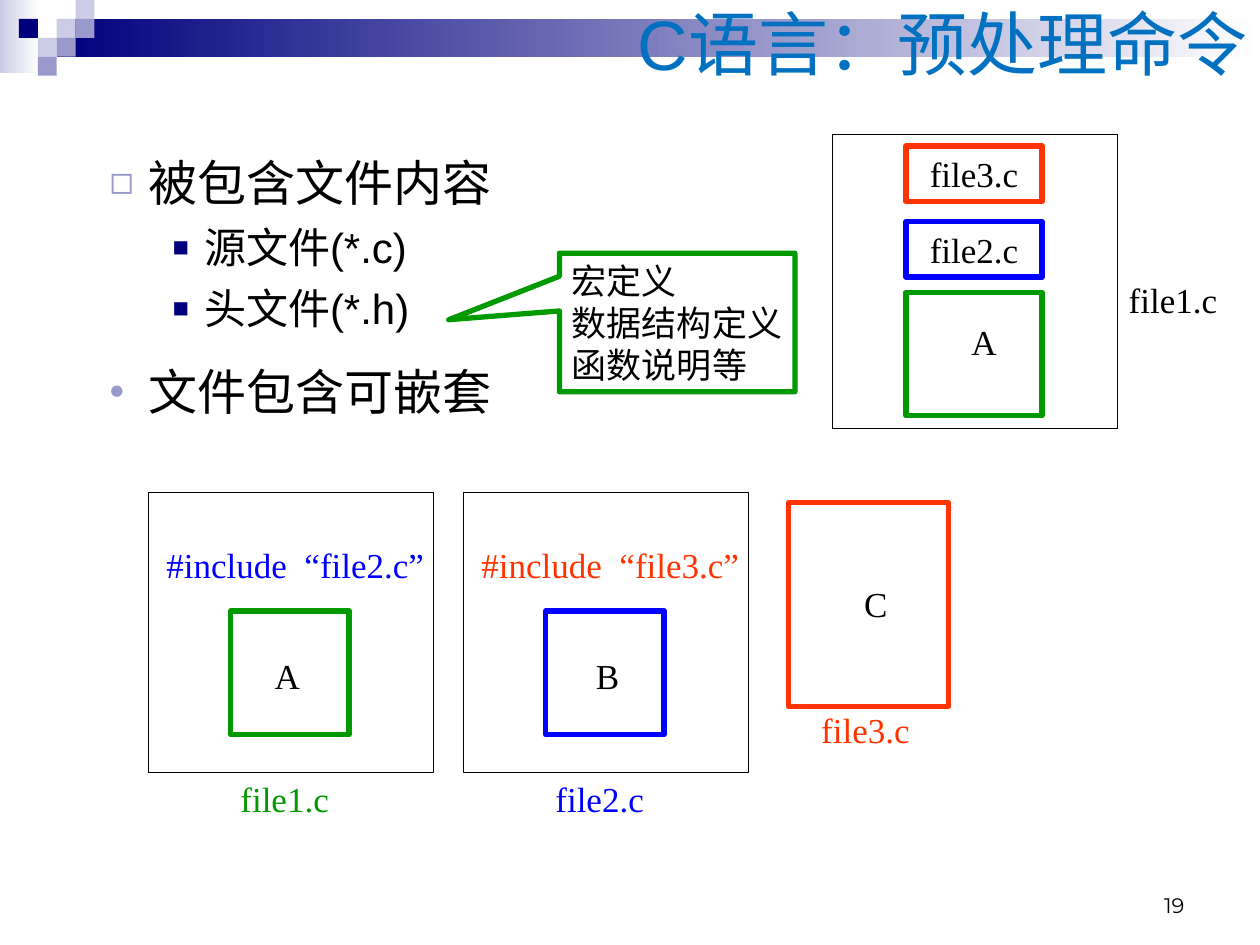
"""Build a slide on the C preprocessor and nested file inclusion."""
from lxml import etree
from pptx import Presentation
from pptx.dml.color import RGBColor
from pptx.enum.shapes import MSO_SHAPE
from pptx.enum.text import MSO_ANCHOR, PP_ALIGN
from pptx.oxml.ns import qn
from pptx.util import Pt

RECT = MSO_SHAPE.RECTANGLE
CALLOUT = MSO_SHAPE.RECTANGULAR_CALLOUT
TOP, MIDDLE, BOTTOM = MSO_ANCHOR.TOP, MSO_ANCHOR.MIDDLE, MSO_ANCHOR.BOTTOM
LEFT, CENTER, RIGHT = PP_ALIGN.LEFT, PP_ALIGN.CENTER, PP_ALIGN.RIGHT

BLACK = RGBColor(0, 0, 0)
WHITE = RGBColor(255, 255, 255)
NAVY = RGBColor(0, 0, 0x7D)
LILAC = RGBColor(0xCC, 0xCC, 0xE6)
MAUVE = RGBColor(0x99, 0x99, 0xCC)
SKY = RGBColor(0, 0x70, 0xC0)
GREEN = RGBColor(0, 0x99, 0)
BLUE = RGBColor(0, 0, 0xFF)
RED = RGBColor(0xFF, 0x33, 0)

SERIF = "Times New Roman"
SANS = "Arial"

TITLE = "C语言：预处理命令"
PAGE = "19"
NOTE = "宏定义\n数据结构定义\n函数说明等"

BANDS = [((0, 0, 22.5, 42), LILAC), ((32.5, 10.8, 687.5, 21.6), NAVY)]
TILE = 10.8
TILES = [
    (3, 1, LILAC), (4, 0, LILAC), (4, 1, MAUVE), (2, 2, LILAC),
    (1, 1, NAVY), (3, 2, MAUVE), (2, 3, MAUVE),
]

HEAD = {"indent": (58.5, -22.5), "mark": "◻", "tint": MAUVE, "scale": 80, "size": 28, "before": 7}
SUB = {"indent": (90, -18), "mark": "■", "tint": NAVY, "scale": 65, "size": 24, "before": 6}
DOT = {**HEAD, "mark": "•", "scale": 85}
LISTS = [
    ((19.5, 83.5, 682.5, 109.5), [("被包含文件内容", HEAD), ("源文件(*.c)", SUB), ("头文件(*.h)", SUB)]),
    ((19.5, 203, 682.5, 42), [("文件包含可嵌套", DOT)]),
]

FILES = [
    ("file1.c", "#include  “file2.c”", "A", GREEN, BLUE, 0),
    ("file2.c", "#include  “file3.c”", "B", BLUE, RED, 3),
]
PARTS = [("file3.c", RED, 83.5), ("file2.c", BLUE, 126.7)]


def add_box(slide, frame, fill=None, line=None, width=3.0, kind=RECT):
    box = slide.shapes.add_shape(kind, *map(Pt, frame))
    box.shadow.inherit = False
    if fill is None:
        box.fill.background()
    else:
        box.fill.solid()
        box.fill.fore_color.rgb = fill
    if line is None:
        box.line.fill.background()
    else:
        box.line.color.rgb = line
        box.line.width = Pt(width)
    return box


def set_text(box, text, size=20, face=SERIF, color=BLACK, align=CENTER, anchor=MIDDLE, wrap=False):
    frame = box.text_frame
    frame.text = text
    frame.word_wrap = wrap
    frame.vertical_anchor = anchor
    for para in frame.paragraphs:
        para.alignment = align
        for run in para.runs:
            run.font.size = Pt(size)
            run.font.name = face
            run.font.color.rgb = color


def add_text(slide, frame, text, **style):
    box = slide.shapes.add_textbox(*map(Pt, frame))
    set_text(box, text, **style)
    return box


def set_mark(para, look):
    props = para._p.get_or_add_pPr()
    left, hang = look["indent"]
    props.set("marL", str(Pt(left)))
    props.set("indent", str(Pt(hang)))
    tint = etree.SubElement(props, qn("a:buClr"))
    etree.SubElement(tint, qn("a:srgbClr"), val=str(look["tint"]))
    etree.SubElement(props, qn("a:buSzPct"), val=str(look["scale"] * 1000))
    etree.SubElement(props, qn("a:buFont"), typeface=SANS)
    etree.SubElement(props, qn("a:buChar"), char=look["mark"])


def add_list(slide, frame, items):
    text = "\n".join(item for item, look in items)
    box = add_text(slide, frame, text, face=SANS, align=LEFT, anchor=TOP, wrap=True)
    for i, (para, (item, look)) in enumerate(zip(box.text_frame.paragraphs, items)):
        set_mark(para, look)
        para.runs[0].font.size = Pt(look["size"])
        if i:
            para.space_before = Pt(look["before"])


def add_banner(slide):
    for frame, color in BANDS:
        fill = add_box(slide, frame).fill
        fill.gradient()
        fill.gradient_angle = 180
        for stop, tone in zip(fill.gradient_stops, (WHITE, color)):
            stop.color.rgb = tone
    for col, row, color in TILES:
        add_box(slide, (col * TILE, row * TILE, TILE, TILE), color)


def add_files(slide):
    for i, (name, code, body, color, link, shift) in enumerate(FILES):
        x = 85 + 180 * i
        add_box(slide, (x, 281.5, 162.7, 159.8), line=BLACK, width=0.75)
        add_box(slide, (x + 46.8, 349.2, 67.7, 70.6), line=color)
        add_text(slide, (x + 2.8, 306.7, 162, 31.7), code, color=link)
        add_text(slide, (x + 45.3, 440.6, 64.8, 31.7), name, color=color)
        add_text(slide, (x + 64.8 + shift, 370, 28.8, 31.7), body)
    add_box(slide, (450.7, 287.3, 91.4, 116.6), line=RED)
    add_text(slide, (486.7, 329, 27.4, 31.7), "C")
    add_text(slide, (462.2, 401, 64.8, 31.7), "file3.c", color=RED)


def add_result(slide):
    add_box(slide, (475.9, 77, 162.7, 167.8), line=BLACK, width=0.75)
    for name, color, y in PARTS:
        set_text(add_box(slide, (517.7, y, 77.8, 31.7), line=color), name, wrap=True)
    add_box(slide, (517.7, 167, 77.8, 70.6), line=GREEN)
    add_text(slide, (547.9, 179.3, 28.8, 31.7), "A")
    add_text(slide, (637.9, 155.5, 64.8, 31.7), "file1.c")


def main():
    deck = Presentation()
    deck.slide_width, deck.slide_height = Pt(720), Pt(540)
    slide = deck.slides.add_slide(deck.slide_layouts[6])
    add_banner(slide)
    add_text(slide, (72, 0.7, 648, 46.8), TITLE, size=40, face=SANS, color=SKY, align=RIGHT, wrap=True)
    add_text(slide, (516.2, 491.8, 167.8, 36), PAGE, size=12, face="Montserrat",
             align=RIGHT, anchor=BOTTOM, wrap=True)
    for frame, items in LISTS:
        add_list(slide, frame, items)
    note = add_box(slide, (319.7, 144.7, 134.6, 79.2), WHITE, GREEN, kind=CALLOUT)
    note.adjustments[0], note.adjustments[1] = -0.97, -0.02
    set_text(note, NOTE, align=LEFT)
    add_files(slide)
    add_result(slide)
    deck.save("out.pptx")


if __name__ == "__main__":
    main()
